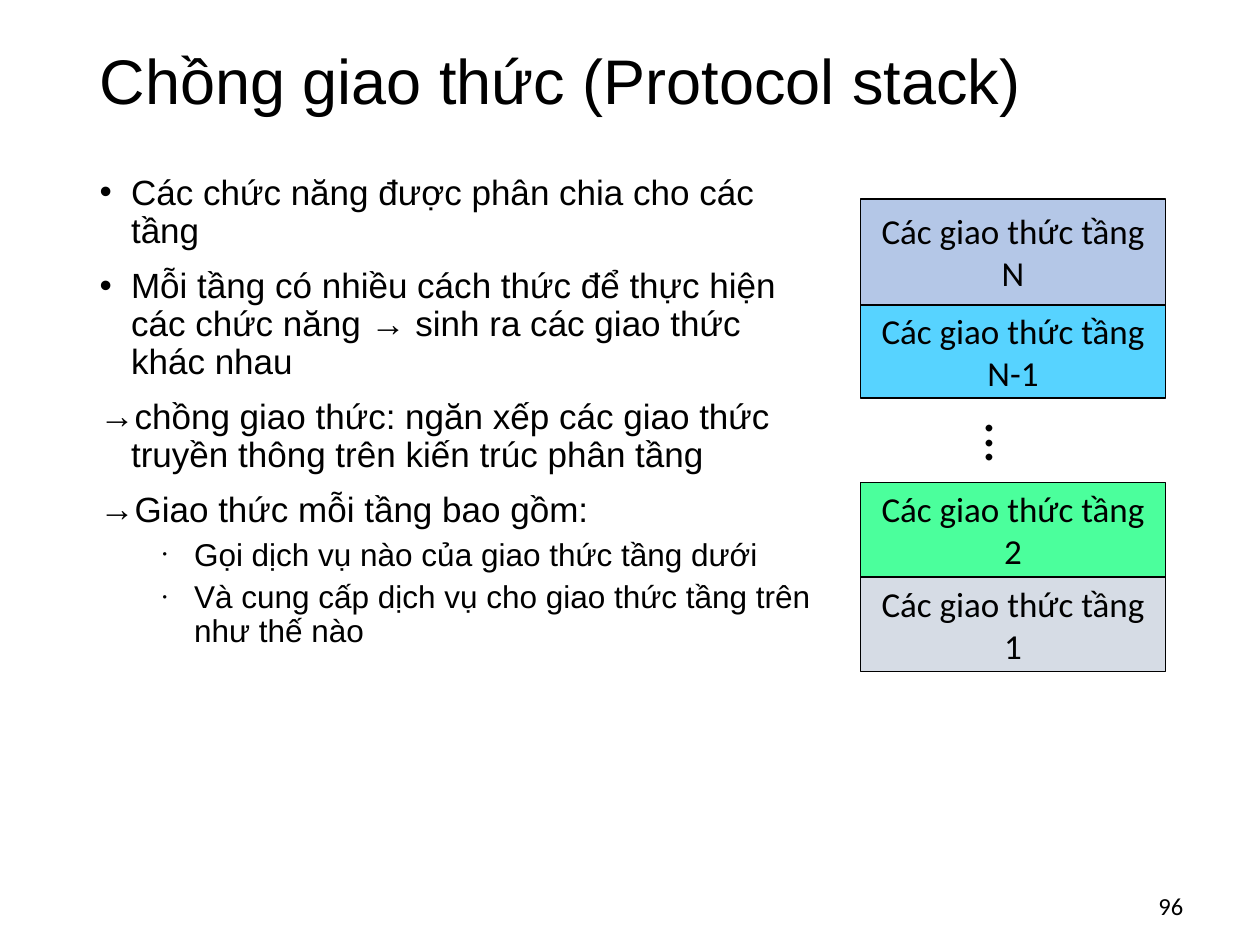
"""Build the protocol stack slide."""
from typing import NamedTuple

from lxml import etree
from pptx import Presentation
from pptx.dml.color import RGBColor
from pptx.enum.shapes import MSO_SHAPE
from pptx.enum.text import MSO_ANCHOR, MSO_AUTO_SIZE, PP_ALIGN
from pptx.oxml.ns import qn
from pptx.util import Inches, Pt

RECTANGLE = MSO_SHAPE.RECTANGLE
TOP, MIDDLE = MSO_ANCHOR.TOP, MSO_ANCHOR.MIDDLE
LEFT, CENTER, RIGHT = PP_ALIGN.LEFT, PP_ALIGN.CENTER, PP_ALIGN.RIGHT
NO_AUTOFIT = MSO_AUTO_SIZE.NONE

COLORS = {
    "ink": "000000",
    "layer_n": "B4C7E7",
    "layer_n_1": "57D3FF",
    "layer_2": "4BFF9C",
    "layer_1": "D6DCE5",
}
HEADING_FONT, LABEL_FONT = "Arial", "Calibri"
STACK_LEFT, STACK_WIDTH = 6.83, 2.42


class Point(NamedTuple):
    """A list entry with its bullet and level."""
    text: str
    bullet: str = "•"
    level: int = 0


class Layer(NamedTuple):
    """A box of the protocol stack."""
    name: str
    color: str
    top: float
    height: float


class LevelStyle(NamedTuple):
    """The look of one list level."""
    size: int
    indent: float
    space_before: int
    bullet_percent: int


LEVELS = (LevelStyle(20, 0.25, 10, 100), LevelStyle(18, 0.75, 5, 40))

POINTS = (
    Point("Các chức năng được phân chia cho các tầng"),
    Point("Mỗi tầng có nhiều cách thức để thực hiện các chức năng → "
          "sinh ra các giao thức khác nhau"),
    Point("chồng giao thức: ngăn xếp các giao thức truyền thông trên "
          "kiến trúc phân tầng", "→"),
    Point("Giao thức mỗi tầng bao gồm:", "→"),
    Point("Gọi dịch vụ nào của giao thức tầng dưới", level=1),
    Point("Và cung cấp dịch vụ cho giao thức tầng trên như thế nào", level=1),
)

LAYERS = (
    Layer("N", "layer_n", 1.58, 0.84),
    Layer("N-1", "layer_n_1", 2.42, 0.74),
    Layer("2", "layer_2", 3.83, 0.75),
    Layer("1", "layer_1", 4.58, 0.75),
)


def rgb(name: str) -> RGBColor:
    """Look up a palette colour."""
    return RGBColor.from_string(COLORS[name])


def place(shape, left: float, top: float, width: float, height: float) -> None:
    """Move and size a shape in inches."""
    shape.left, shape.top = Inches(left), Inches(top)
    shape.width, shape.height = Inches(width), Inches(height)


def style_paragraph(paragraph, size: int, font_name: str, align) -> None:
    """Format a paragraph and its runs."""
    paragraph.alignment = align
    for run in paragraph.runs:
        run.font.size = Pt(size)
        run.font.name = font_name
        run.font.color.rgb = rgb("ink")


def write(shape, text: str, size: int, font_name: str, align, anchor) -> None:
    """Put one formatted paragraph in a shape."""
    frame = shape.text_frame
    frame.text = text
    frame.word_wrap = True
    frame.auto_size = NO_AUTOFIT
    frame.vertical_anchor = anchor
    style_paragraph(frame.paragraphs[0], size, font_name, align)


def set_bullet(paragraph, bullet: str, style: LevelStyle) -> None:
    """Give a paragraph a hanging bullet."""
    properties = paragraph._p.get_or_add_pPr()
    properties.set("marL", str(Inches(style.indent)))
    properties.set("indent", str(Inches(-0.25)))
    for tag, attribute, value in (
        ("a:buSzPct", "val", str(style.bullet_percent * 1000)),
        ("a:buFont", "typeface", HEADING_FONT),
        ("a:buChar", "char", bullet),
    ):
        etree.SubElement(properties, qn(tag)).set(attribute, value)


def fill_list(body, points: tuple[Point, ...]) -> None:
    """Write the bulleted list."""
    frame = body.text_frame
    frame.text = "\n".join(point.text for point in points)
    frame.auto_size = NO_AUTOFIT
    frame.vertical_anchor = TOP
    for paragraph, point in zip(frame.paragraphs, points):
        style = LEVELS[point.level]
        paragraph.level = point.level
        paragraph.line_spacing = 0.9
        paragraph.space_before = Pt(style.space_before)
        style_paragraph(paragraph, style.size, HEADING_FONT, LEFT)
        set_bullet(paragraph, point.bullet, style)


def draw_layer(slide, layer: Layer) -> None:
    """Draw one box of the stack."""
    box = slide.shapes.add_shape(
        RECTANGLE, Inches(STACK_LEFT), Inches(layer.top),
        Inches(STACK_WIDTH), Inches(layer.height))
    box.shadow.inherit = False
    box.fill.solid()
    box.fill.fore_color.rgb = rgb(layer.color)
    box.line.color.rgb = rgb("ink")
    box.line.width = Pt(1)
    write(box, f"Các giao thức tầng {layer.name}", 20, LABEL_FONT, CENTER, MIDDLE)


def add_label(slide, text: str, bounds: tuple[float, ...], size: int, align, anchor):
    """Add a text box."""
    label = slide.shapes.add_textbox(*map(Inches, bounds))
    write(label, text, size, LABEL_FONT, align, anchor)
    return label


def main() -> None:
    """Assemble and save the slide."""
    deck = Presentation()
    deck.slide_width, deck.slide_height = Inches(10), Inches(7.5)
    slide = deck.slides.add_slide(deck.slide_layouts[1])

    title, body = slide.placeholders
    place(title, 0.69, 0.26, 8.62, 0.81)
    write(title, "Chồng giao thức (Protocol stack)", 36, HEADING_FONT, LEFT, MIDDLE)
    title.text_frame.paragraphs[0].line_spacing = 0.9
    place(body, 0.69, 1.34, 5.9, 5.41)
    fill_list(body, POINTS)

    add_label(slide, "96", (8.86, 6.99, 0.63, 0.4), 14, RIGHT, MIDDLE)
    for layer in LAYERS:
        draw_layer(slide, layer)
    ellipsis = add_label(slide, "...", (7.71, 3.22, 0.58, 0.64), 32, LEFT, TOP)
    ellipsis.rotation = 90

    deck.save("out.pptx")


if __name__ == "__main__":
    main()
